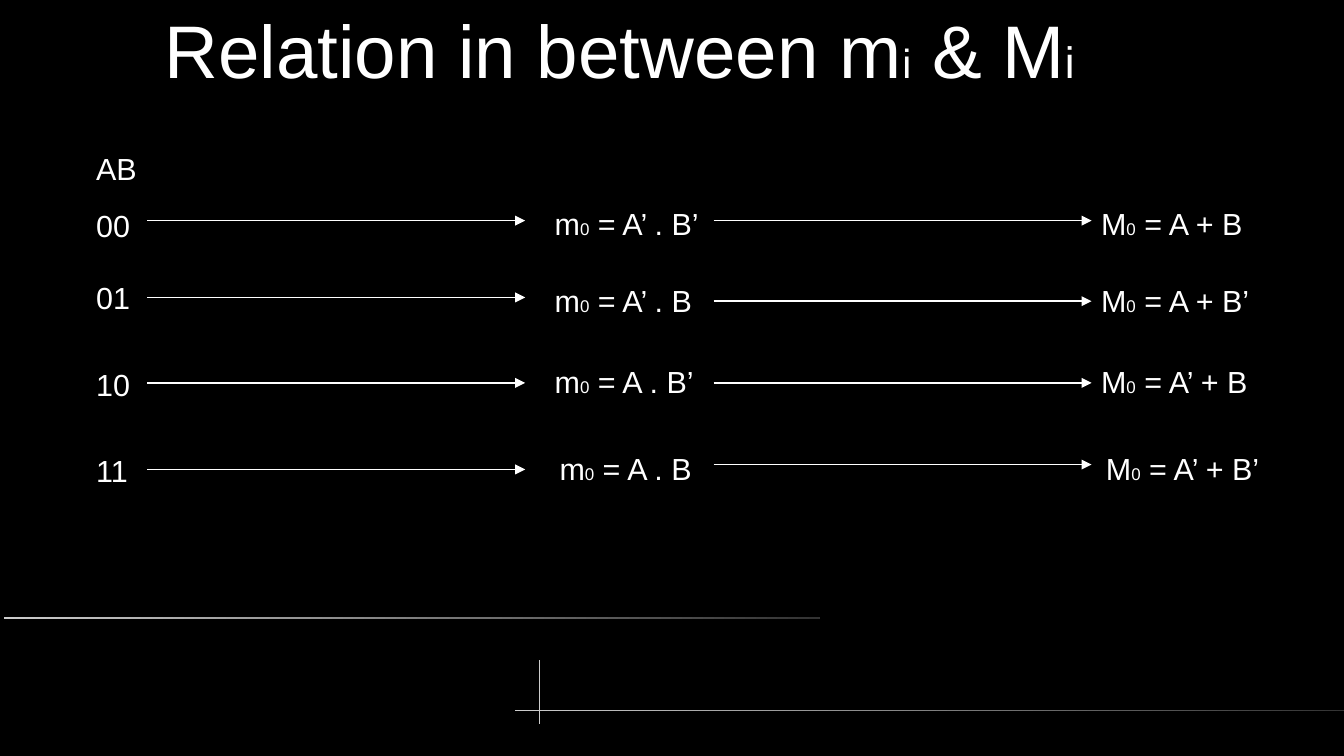
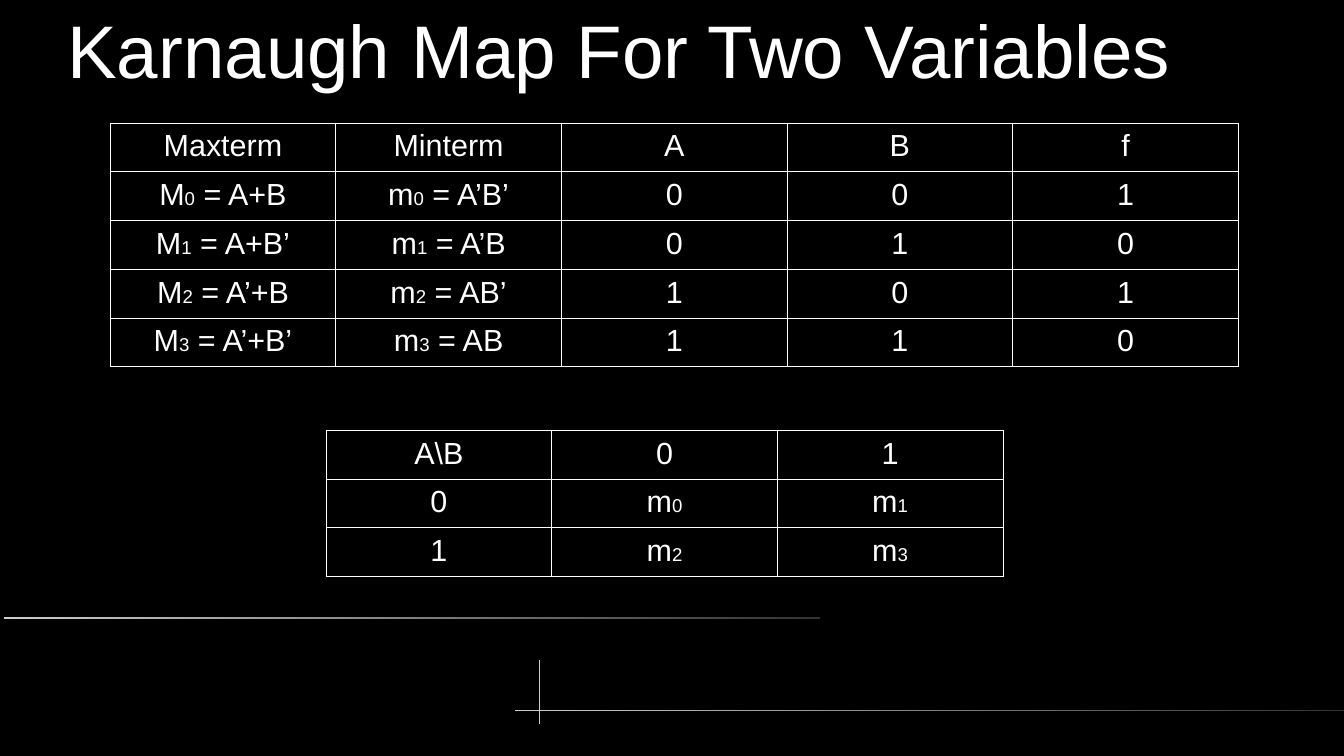
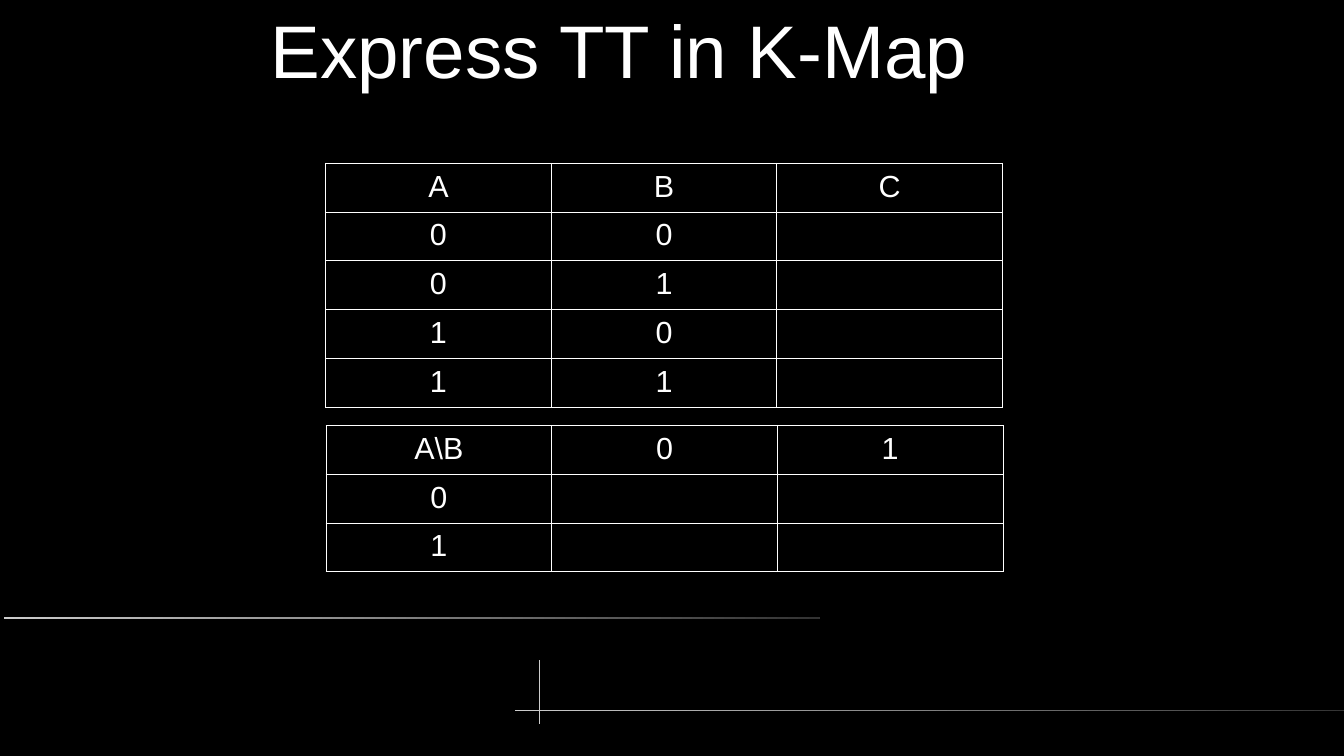
from itertools import cycle

from lxml import etree
from pptx import Presentation
from pptx import util as u
from pptx.dml.color import RGBColor
from pptx.enum import shapes, text
from pptx.oxml import ns

COLOURS = {"back": "000000", "ink": "FFFFFF", "bright": "CCCCCC", "dim": "333333"}
RGB = {name: RGBColor.from_string(value) for name, value in COLOURS.items()}
FONT = "Arial"
BODY, TITLE = 18, 44

deck = Presentation()
deck.slide_width, deck.slide_height = u.Inches(11.02), u.Inches(6.2)


def place(*shares):
    """Turn percentages of the slide's width and height, in turn, into lengths."""
    sides = cycle((deck.slide_width, deck.slide_height))
    return [u.Emu(round(share * side / 100)) for share, side in zip(shares, sides)]


def write(para, marked, size, small):
    """Write text whose parts between underscores take the small sizes in turn."""
    small_sizes = cycle(small)
    for index, piece in enumerate(marked.split("_")):
        if piece:
            span = para.add_run()
            span.text = piece
            span.font.name = FONT
            span.font.size = u.Pt(next(small_sizes) if index % 2 else size)
            span.font.color.rgb = RGB["ink"]


# Shared background, pages and titles
backdrop = deck.slide_master.background.fill
backdrop.solid()
backdrop.fore_color.rgb = RGB["back"]

layout = deck.slide_layouts.get_by_name("Title Only")
titles = ["Relation in between m_i_ & M_i_", "Karnaugh Map For Two Variables", "Express TT in K-Map"]
frame_format = {
    "margin_left": 0, "margin_top": 0, "margin_right": 0, "margin_bottom": 0,
    "vertical_anchor": text.MSO_ANCHOR.MIDDLE, "auto_size": text.MSO_AUTO_SIZE.NONE,
}
pages = []
for title in titles:
    page = deck.slides.add_slide(layout)
    box = page.shapes.title
    box.left, box.top, box.width, box.height = place(1.45, 0.65, 89.29, 11.61)
    for name, value in frame_format.items():
        setattr(box.text_frame, name, value)
    para = box.text_frame.paragraphs[0]
    para.alignment = text.PP_ALIGN.CENTER
    write(para, title, TITLE, (24, 26))
    pages.append(page)
relation, two_variables, express = pages

# Thin decorative rules, moved to the layout so that every page shows them
rules = [
    ((0.27, 81.61, 60.71, 0.32), "dim"),
    ((38.29, 93.87, 61.89, 0.16), "dim"),
    ((40.11, 87.26, 0.09, 8.55), "bright"),
]
for number, (area, end_colour) in enumerate(rules, 20):
    rule = relation.shapes.add_shape(shapes.MSO_SHAPE.ROUNDED_RECTANGLE, *place(*area))
    rule.adjustments[0] = 0.5
    rule.shadow.inherit = False
    rule.line.fill.background()
    rule.fill.gradient()
    rule.fill.gradient_angle = 0
    for stop, colour in zip(rule.fill.gradient_stops, ("bright", end_colour)):
        stop.color.rgb = RGB[colour]
    rule.element.xpath("p:nvSpPr/p:cNvPr")[0].set("id", str(number))
    layout.shapes.element.append(rule.element)

# Slide 1: from input values to minterm to maxterm
SHIFT = 0.36
label_columns = [
    (6.26, 5.6, [("AB", 0, 19.03), ("00", 0, 26.61), ("01", 0, 36.13),
                 ("10", 0, 47.58), ("11", 0, 59.03)]),
    (40.38, 13.4, [("m_0_ = A’ . B’", 0, 26.29), ("m_0_ = A’ . B", 0, 36.45),
                   ("m_0_ = A . B’", 0, 47.26), ("m_0_ = A . B", SHIFT, 58.71)]),
    (81.03, 14.2, [("M_0_ = A + B", 0, 26.29), ("M_0_ = A + B’", 0, 36.45),
                   ("M_0_ = A’ + B", 0, 47.26), ("M_0_ = A’ + B’", SHIFT, 58.71)]),
]
for left, width, labels in label_columns:
    for label, shift, top in labels:
        box = relation.shapes.add_textbox(*place(left + shift, top, width, 6.13))
        box.text_frame.word_wrap = True
        write(box.text_frame.paragraphs[0], label, BODY, (10,))

arrow_columns = [
    (10.95, (29.19, 39.35, 50.65, 62.1)),
    (53.09, (29.19, 39.84, 50.65, 61.45)),
]
for start, heights in arrow_columns:
    for height in heights:
        arrow = relation.shapes.add_connector(
            shapes.MSO_CONNECTOR.STRAIGHT, *place(start, height, start + 28.13, height))
        arrow.line.color.rgb = RGB["ink"]
        arrow.line.width = u.Pt(0.85)
        etree.SubElement(arrow.line._get_or_add_ln(), ns.qn("a:tailEnd"), type="triangle")
        etree.SubElement(arrow.element.spPr, ns.qn("a:effectLst"))

# Slides 2 and 3: truth tables and Karnaugh maps
COLUMN, ROW = 16.79, 6.45
terms = [
    ["Maxterm", "Minterm", "A", "B", "f"],
    ["M_0_ = A+B", "m_0_ = A’B’", "0", "0", "1"],
    ["M_1_ = A+B’", "m_1_ = A’B", "0", "1", "0"],
    ["M_2_ = A’+B", "m_2_ = AB’", "1", "0", "1"],
    ["M_3_ = A’+B’", "m_3_ = AB", "1", "1", "0"],
]
filled_map = [["A\\B", "0", "1"], ["0", "m_0_", "m_1_"], ["1", "m_2_", "m_3_"]]
empty_map = [["A\\B", "0", "1"], ["0", "", ""], ["1", "", ""]]
truth_table = [["A", "B", "C"], ["0", "0", ""], ["0", "1", ""], ["1", "0", ""], ["1", "1", ""]]
grids = [
    (two_variables, 8.2, 16.29, terms),
    (two_variables, 24.26, 56.94, filled_map),
    (express, 24.26, 56.29, empty_map),
    (express, 24.23, 21.61, truth_table),
]
cell_format = {"margin_left": u.Inches(0.04), "margin_right": u.Inches(0.04),
               "margin_top": u.Inches(0.05), "margin_bottom": u.Inches(0.05)}
for page, left, top, rows in grids:
    area = place(left, top, COLUMN * len(rows[0]), ROW * len(rows))
    table = page.shapes.add_table(len(rows), len(rows[0]), *area).table
    table.first_row = table.horz_banding = False
    for row, entries in zip(table.rows, rows):
        for cell, entry in zip(row.cells, entries):
            for name, value in cell_format.items():
                setattr(cell, name, value)
            para = cell.text_frame.paragraphs[0]
            para.alignment = text.PP_ALIGN.CENTER
            write(para, entry, BODY, (11,))
            # The end mark keeps empty cells as low as filled ones
            end_mark = etree.SubElement(para._p, ns.qn("a:endParaRPr"), sz=str(BODY * 100))
            etree.SubElement(end_mark, ns.qn("a:latin"), typeface=FONT)
            properties = cell._tc.get_or_add_tcPr()
            for side in ("a:lnL", "a:lnR", "a:lnT", "a:lnB"):
                border = etree.SubElement(properties, ns.qn(side), w=str(u.Pt(0.57)))
                paint = etree.SubElement(border, ns.qn("a:solidFill"))
                etree.SubElement(paint, ns.qn("a:srgbClr"), val=COLOURS["ink"])
            cell.fill.background()

deck.save("out.pptx")
